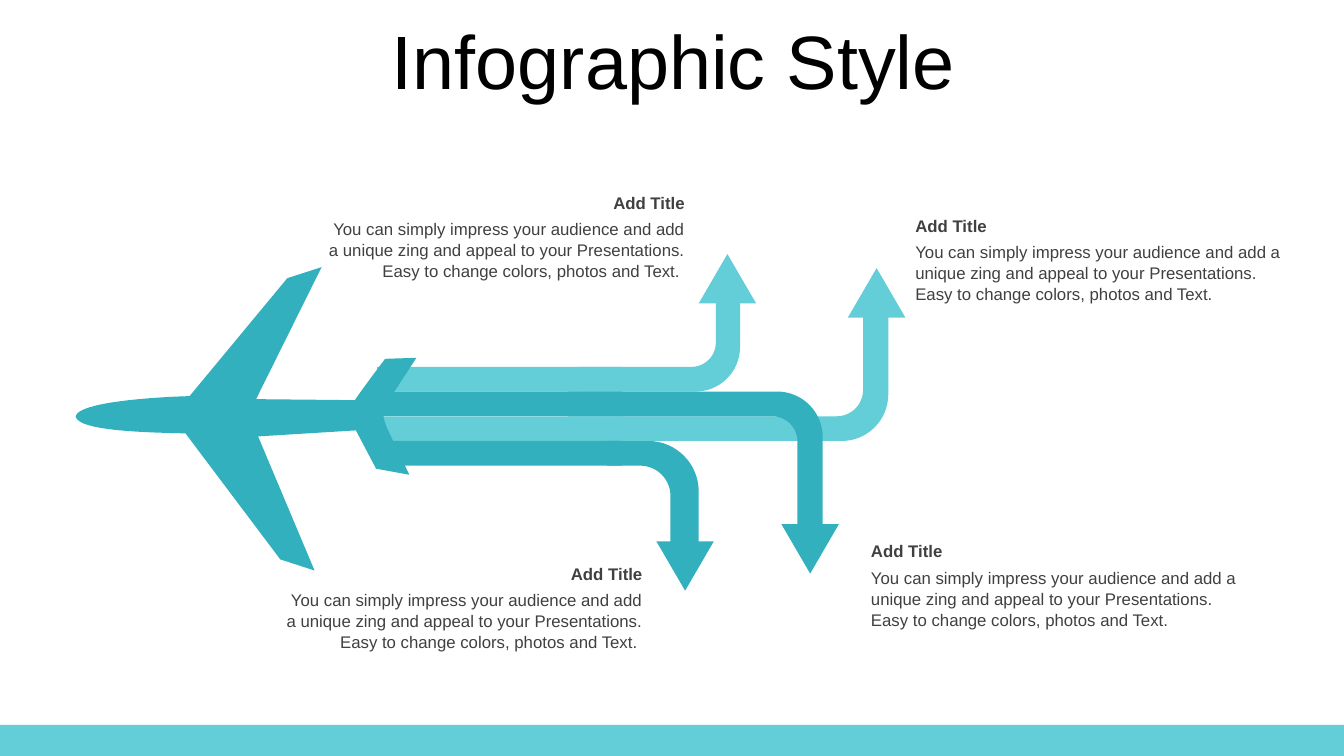
import dataclasses

import pptx
import pptx.dml.color
import pptx.enum.shapes
import pptx.enum.text
import pptx.util

Inches = pptx.util.Inches
Pt = pptx.util.Pt
Shape = pptx.enum.shapes.MSO_SHAPE
Align = pptx.enum.text.PP_ALIGN
Anchor = pptx.enum.text.MSO_ANCHOR
AutoSize = pptx.enum.text.MSO_AUTO_SIZE


@dataclasses.dataclass(frozen=True)
class Theme:
    light: str = "64CED8"
    dark: str = "32B0BE"
    heading: str = "000000"
    body: str = "404040"
    font: str = "Arial"
    heading_size: int = 54
    body_size: int = 12


def curve_points(start, control_a, control_b, end, steps=16):
    for step in range(1, steps + 1):
        t = step / steps
        weights = ((1 - t) ** 3, 3 * t * (1 - t) ** 2, 3 * t * t * (1 - t), t ** 3)
        corners = (start, control_a, control_b, end)
        yield tuple(sum(w * c[axis] for w, c in zip(weights, corners)) for axis in (0, 1))


class SlideBuilder:
    def __init__(self, slide, theme):
        self.slide = slide
        self.theme = theme

    def paint(self, shape, color):
        shape.shadow.inherit = False
        shape.fill.solid()
        shape.fill.fore_color.rgb = pptx.dml.color.RGBColor.from_string(color)
        shape.line.fill.background()

    def block(self, kind, left, top, width, height, color, rotation=0):
        shape = self.slide.shapes.add_shape(
            kind, Inches(left), Inches(top), Inches(width), Inches(height))
        shape.rotation = rotation
        self.paint(shape, color)

    def outline(self, start, moves, color):
        points = [start]
        for move in moves:
            if len(move) == 2:
                points.append(move)
            else:
                points.extend(curve_points(points[-1], *move))
        corners = [(Inches(x), Inches(y)) for x, y in points]
        builder = self.slide.shapes.build_freeform(*corners[0])
        builder.add_line_segments(corners[1:], close=True)
        self.paint(builder.convert_to_shape(), color)

    def bend(self, start, shaft_left, shaft_right, band, end, radius, color):
        outer, inner = band
        turn = 1 if end > outer else -1
        inner_radius = radius - 0.2
        pull = 0.45

        def corner(right, y, size):
            enter, leave = (right - size, y), (right, y + turn * size)
            return enter, ((right - size * pull, y), (right, y + turn * size * pull), leave)

        outer_in, outer_curve = corner(shaft_right, outer, radius)
        inner_in, inner_curve = corner(shaft_left, inner, inner_radius)
        inner_back = (inner_curve[1], inner_curve[0], inner_in)
        self.outline((start, outer), [
            outer_in, outer_curve, (shaft_right, end), (shaft_left, end),
            inner_curve[2], inner_back, (start, inner)], color)

    def add_text(self, paragraph, text, size, color, bold=False):
        run = paragraph.add_run()
        run.text = text
        run.font.name = self.theme.font
        run.font.size = Pt(size)
        run.font.bold = bold
        run.font.color.rgb = pptx.dml.color.RGBColor.from_string(color)

    def title(self, text, left, top, width, height):
        heading = self.slide.shapes.title
        heading.left, heading.top = Inches(left), Inches(top)
        heading.width, heading.height = Inches(width), Inches(height)
        frame = heading.text_frame
        frame.auto_size = AutoSize.NONE
        frame.vertical_anchor = Anchor.MIDDLE
        paragraph = frame.paragraphs[0]
        paragraph.alignment = Align.CENTER
        paragraph.line_spacing = 0.9
        paragraph.space_before = Pt(10)
        self.add_text(paragraph, text, self.theme.heading_size, self.theme.heading)

    def text(self, text, left, top, width, height, align, bold=False):
        box = self.slide.shapes.add_textbox(
            Inches(left), Inches(top), Inches(width), Inches(height))
        box.text_frame.word_wrap = True
        paragraph = box.text_frame.paragraphs[0]
        paragraph.alignment = align
        paragraph.line_spacing = 1.05
        self.add_text(paragraph, text, self.theme.body_size, self.theme.body, bold)

    def caption(self, label, detail, left, top, width, align):
        self.text(detail, left, top + 0.26, width, 0.71, align)
        self.text(label, left, top, width, 0.3, align, bold=True)


def main():
    deck = pptx.Presentation()
    deck.slide_width, deck.slide_height = Inches(13.33), Inches(7.5)
    theme = Theme()
    page = SlideBuilder(deck.slides.add_slide(deck.slide_layouts[5]), theme)

    page.block(Shape.RECTANGLE, 0, 7.19, 13.33, 0.31, theme.light)
    page.title("Infographic Style", 0.35, 0.25, 12.66, 0.79)

    trail_top, trail_bottom = 3.64, 4.62
    trail_height = (trail_bottom - trail_top) / 4
    levels = [trail_top + trail_height * i for i in range(5)]
    for i, level in enumerate(levels[:4]):
        color = theme.dark if i % 2 else theme.light
        page.block(Shape.RECTANGLE, 3.74, level, 2.43, trail_height, color)

    routes = [
        (6.02, 6.65, 6.93, (levels[3], levels[4]), 5.46, 0.5, theme.dark),
        (5.74, 7.1, 7.34, (levels[1], levels[0]), 2.96, 0.44, theme.light),
        (6.16, 8.56, 8.81, (levels[3], levels[2]), 2.92, 0.46, theme.light),
        (5.63, 7.91, 8.16, (levels[1], levels[2]), 5.31, 0.45, theme.dark),
    ]
    for route in routes:
        page.bend(*route)

    arrowheads = [
        (7.75, 5.2, theme.dark, 180),
        (6.51, 5.37, theme.dark, 180),
        (6.93, 2.52, theme.light, 0),
        (8.41, 2.66, theme.light, 0),
    ]
    for left, top, color, rotation in arrowheads:
        page.block(Shape.ISOSCELES_TRIANGLE, left, top, 0.57, 0.49, color, rotation)

    detail = ("You can simply impress your audience and add a unique zing and appeal "
              "to your Presentations. Easy to change colors, photos and Text.")
    for left, top in ((8.54, 5.31), (8.98, 2.08)):
        page.caption("Add Title", detail, left, top, 3.86, Align.LEFT)
    for left, top in ((3.07, 1.85), (2.65, 5.53)):
        page.caption("Add Title", detail + " ", left, top, 3.82, Align.RIGHT)

    airplane = [
        (3.83, 4.01), ((3.79, 4.13), (3.8, 4.14), (3.84, 4.25)),
        (4.06, 4.71), (3.73, 4.65), (3.53, 4.27), (2.56, 4.33),
        (3.12, 5.66), (2.78, 5.55), (1.84, 4.3),
        ((1.48, 4.29), (0.77, 4.28), (0.75, 4.13)),
        ((0.78, 3.99), (1.51, 3.94), (1.88, 3.93)),
        (2.85, 2.76), (3.19, 2.65), (2.54, 3.96), (3.52, 3.97),
        ((3.6, 3.85), (3.82, 3.56), (3.82, 3.56)),
    ]
    page.outline((4.13, 3.55), airplane, theme.dark)

    deck.save("out.pptx")


if __name__ == "__main__":
    main()
